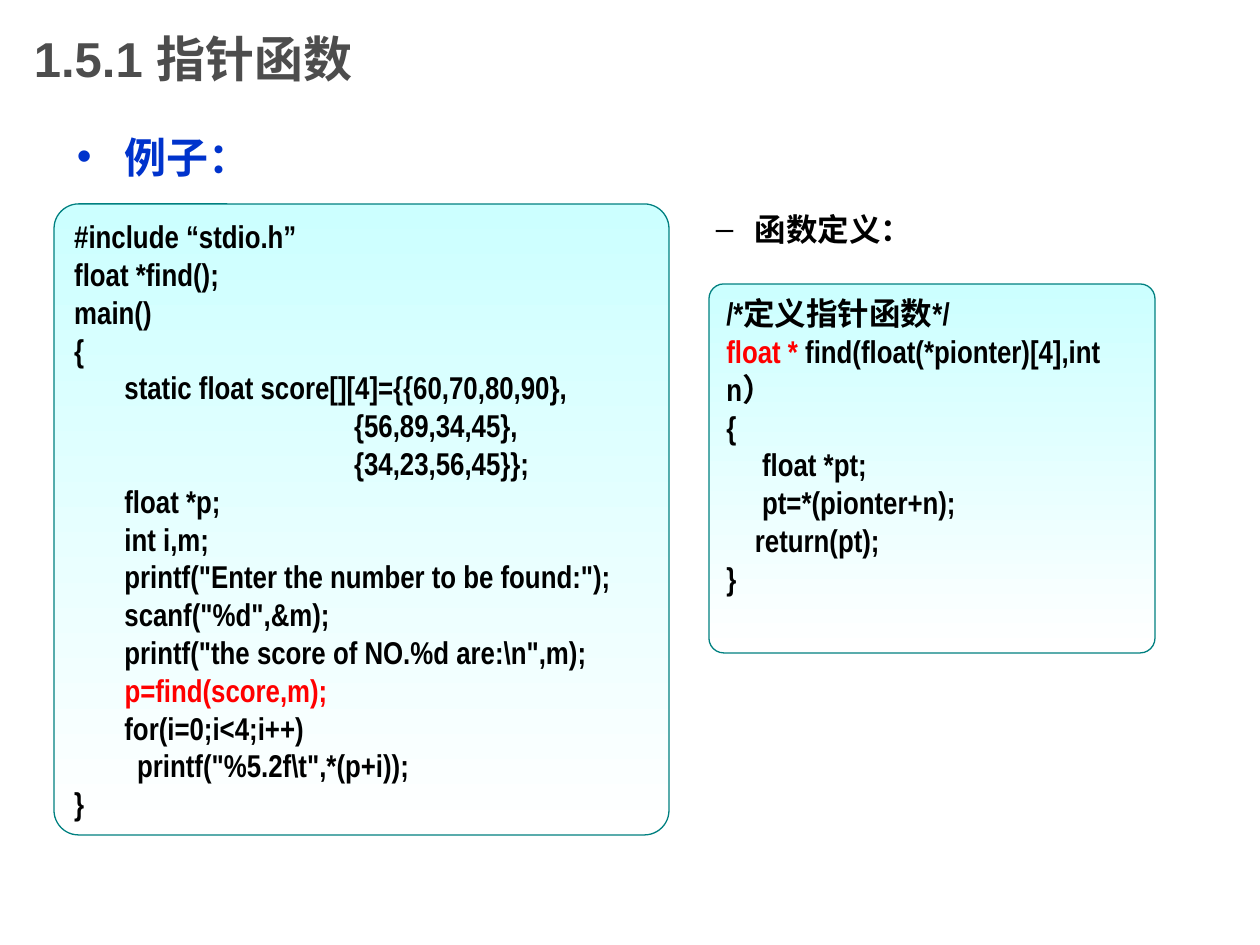
from lxml.etree import SubElement
from pptx import Presentation
from pptx.dml.color import RGBColor
from pptx.enum.lang import MSO_LANGUAGE_ID as Lang
from pptx.enum.shapes import MSO_SHAPE as Shape
from pptx.enum.text import MSO_ANCHOR as Anchor, PP_ALIGN as Align
from pptx.oxml.ns import qn
from pptx.util import Pt

PX = 914400 // 126
BLACK = RGBColor(0x00, 0x00, 0x00)
GRAY = RGBColor(0x4D, 0x4D, 0x4D)
BLUE = RGBColor(0x00, 0x33, 0xCC)
RED = RGBColor(0xFF, 0x00, 0x00)
TEAL = RGBColor(0x00, 0x80, 0x80)
AQUA = RGBColor(0xCC, 0xFF, 0xFF)
WHITE = RGBColor(0xFF, 0xFF, 0xFF)


def write(shape, text, size=18, font="Arial", color=BLACK, red=None,
          anchor=Anchor.TOP, align=Align.LEFT, bullet=None, indent=0, hang=0):
    frame = shape.text_frame
    frame.word_wrap = True
    frame.vertical_anchor = anchor
    frame.margin_left = frame.margin_right = 13 * PX
    frame.margin_top = frame.margin_bottom = 6 * PX
    for number, line in enumerate(text.split("\n")):
        paragraph = frame.add_paragraph() if number else frame.paragraphs[0]
        paragraph.alignment = align
        if bullet:
            properties = paragraph._p.get_or_add_pPr()
            properties.set("marL", str(indent * PX))
            properties.set("indent", str(-hang * PX))
            SubElement(properties, qn("a:buFont")).set("typeface", font)
            SubElement(properties, qn("a:buChar")).set("char", bullet)
        parts = line.partition(red) if red else (line,)
        for part in filter(None, parts):
            run = paragraph.add_run()
            run.text = part
            run.font.size = Pt(size)
            run.font.name = font
            run.font.bold = True
            run.font.language_id = Lang.SIMPLIFIED_CHINESE
            run.font.color.rgb = RED if part == red else color


prs = Presentation()
prs.slide_width = 1260 * PX
prs.slide_height = 945 * PX
slide = prs.slides.add_slide(prs.slide_layouts[6])
shapes = slide.shapes

title = shapes.add_textbox(21 * PX, 0, 945 * PX, 116 * PX)
write(title, "1.5.1 指针函数", size=28, color=GRAY, anchor=Anchor.MIDDLE)

example = shapes.add_textbox(64 * PX, 125 * PX, 1071 * PX, 69 * PX)
write(example, "例子：", size=24, color=BLUE, align=Align.JUSTIFY,
      bullet="•", indent=48, hang=48)

definition = shapes.add_textbox(640 * PX, 204 * PX, 556 * PX, 79 * PX)
write(definition, "函数定义：", align=Align.JUSTIFY,
      bullet="–", indent=102, hang=39)

main_code = r"""#include “stdio.h”
float *find();
main()
{
       static float score[][4]={{60,70,80,90},
                                       {56,89,34,45},
                                       {34,23,56,45}};
       float *p;
       int i,m;
       printf("Enter the number to be found:");
       scanf("%d",&m);
       printf("the score of NO.%d are:\n",m);
       p=find(score,m);
       for(i=0;i<4;i++)
""" + "\t" + r"""printf("%5.2f\t",*(p+i));
}"""

find_code = """/*定义指针函数*/
float * find(float(*pionter)[4],int n）
{
     float *pt;
     pt=*(pionter+n);
    return(pt);
}"""

for code, red, left, top, width, height in (
    (main_code, "p=find(score,m);", 54, 204, 615, 631),
    (find_code, "float * ", 709, 284, 446, 369),
):
    panel = shapes.add_shape(Shape.ROUNDED_RECTANGLE, left * PX, top * PX,
                             width * PX, height * PX)
    panel.adjustments[0] = 0.04
    panel.shadow.inherit = False
    panel.fill.gradient()
    panel.fill.gradient_angle = 270
    for stop, shade in zip(panel.fill.gradient_stops, (AQUA, WHITE)):
        stop.color.rgb = shade
    panel.line.color.rgb = TEAL
    panel.line.width = Pt(0.75)
    write(panel, code, font="Arial Narrow", red=red)

prs.save("out.pptx")
